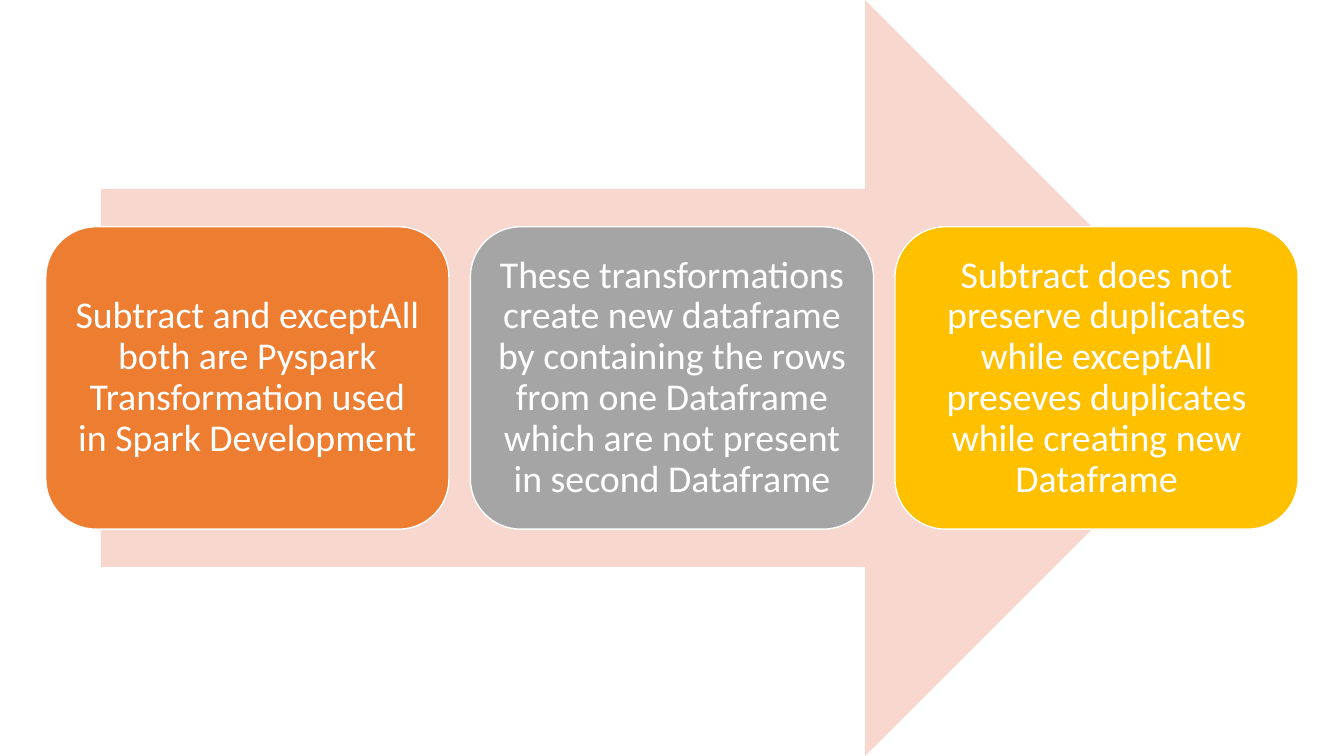
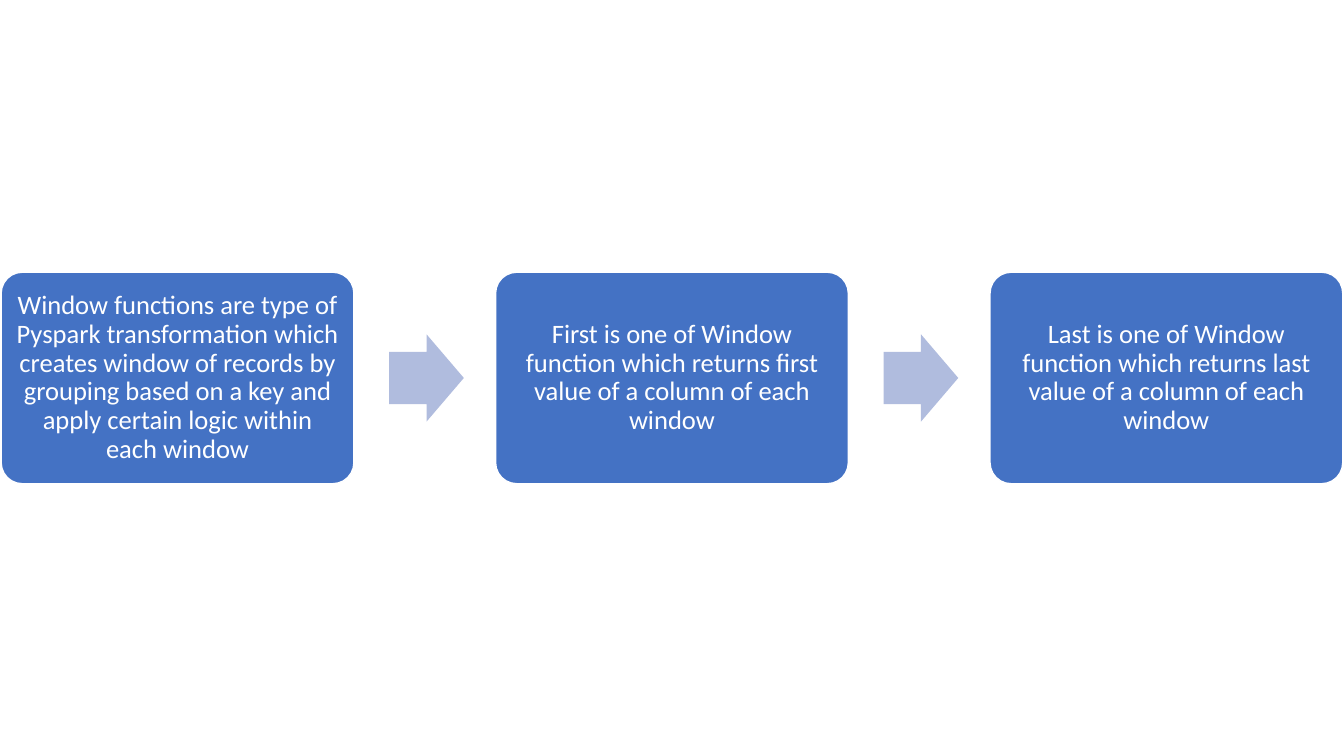
from dataclasses import dataclass

from pptx import Presentation
from pptx.dml.color import RGBColor
from pptx.enum.shapes import MSO_SHAPE
from pptx.enum.text import MSO_ANCHOR, PP_ALIGN
from pptx.util import Cm, Pt


@dataclass(frozen=True)
class Theme:
    font: str = "Calibri"
    white: str = "FFFFFF"
    blue: str = "4472C4"
    orange: str = "ED7D31"
    gray: str = "A5A5A5"
    gold: str = "FFC000"
    pale_orange: str = "F8D7CE"
    pale_blue: str = "B0BCDE"
    large_text: int = 27
    small_text: int = 19
    outline: int = 1
    line_spacing: float = 0.9


theme = Theme()
slide_width, slide_height = 33.87, 19.05


def add_filled_shape(slide, kind, left, width, height, color):
    top = (slide_height - height) / 2
    shape = slide.shapes.add_shape(kind, Cm(left), Cm(top), Cm(width), Cm(height))
    shape.shadow.inherit = False
    shape.fill.solid()
    shape.fill.fore_color.rgb = RGBColor.from_string(color)
    shape.line.fill.background()
    return shape


def add_card_row(slide, cards, width, height, gap, corner, inset, size):
    left = (slide_width - len(cards) * width - (len(cards) - 1) * gap) / 2
    lefts = [left + index * (width + gap) for index in range(len(cards))]
    for card_left, (color, text) in zip(lefts, cards):
        shape = add_filled_shape(
            slide, MSO_SHAPE.ROUNDED_RECTANGLE, card_left, width, height, color
        )
        shape.adjustments[0] = corner
        shape.line.color.rgb = RGBColor.from_string(theme.white)
        shape.line.width = Pt(theme.outline)
        frame = shape.text_frame
        frame.word_wrap = True
        frame.vertical_anchor = MSO_ANCHOR.MIDDLE
        frame.margin_left = frame.margin_right = Cm(inset)
        frame.margin_top = frame.margin_bottom = Cm(inset)
        paragraph = frame.paragraphs[0]
        paragraph.alignment = PP_ALIGN.CENTER
        paragraph.line_spacing = theme.line_spacing
        run = paragraph.add_run()
        run.text = text
        run.font.name = theme.font
        run.font.size = Pt(size)
        run.font.color.rgb = RGBColor.from_string(theme.white)
    return lefts


presentation = Presentation()
presentation.slide_width = Cm(slide_width)
presentation.slide_height = Cm(slide_height)
blank_layout = presentation.slide_layouts[6]

subtract_slide = presentation.slides.add_slide(blank_layout)
arrow_margin = 2.54
add_filled_shape(
    subtract_slide,
    MSO_SHAPE.RIGHT_ARROW,
    arrow_margin,
    slide_width - 2 * arrow_margin,
    slide_height,
    theme.pale_orange,
)
subtract_cards = [
    (
        theme.orange,
        "Subtract and exceptAll both are Pyspark Transformation used in Spark Development",
    ),
    (
        theme.gray,
        "These transformations create new dataframe by containing the rows "
        "from one Dataframe which are not present in second Dataframe",
    ),
    (
        theme.gold,
        "Subtract does not preserve duplicates while exceptAll preseves "
        "duplicates while creating new Dataframe",
    ),
]
add_card_row(
    subtract_slide, subtract_cards, width=10.16, height=7.62, gap=0.54,
    corner=1 / 6, inset=0.28, size=theme.large_text,
)

window_slide = presentation.slides.add_slide(blank_layout)
window_cards = [
    (
        theme.blue,
        "Window functions are type of Pyspark transformation which creates window "
        "of records by grouping based on a key and apply certain logic within each window",
    ),
    (
        theme.blue,
        "First is one of Window function which returns first value of a column of each window",
    ),
    (
        theme.blue,
        "Last is one of Window function which returns last value of a column of each window",
    ),
]
card_width = 8.89
card_lefts = add_card_row(
    window_slide, window_cards, width=card_width, height=5.33, gap=3.57,
    corner=0.1, inset=0.2, size=theme.small_text,
)
for card_left in card_lefts[:-1]:
    arrow = add_filled_shape(
        window_slide, MSO_SHAPE.RIGHT_ARROW, card_left + card_width + 0.89,
        1.88, 2.2, theme.pale_blue,
    )
    arrow.adjustments[0] = 0.6
    arrow.adjustments[1] = 0.5

presentation.save("out.pptx")
